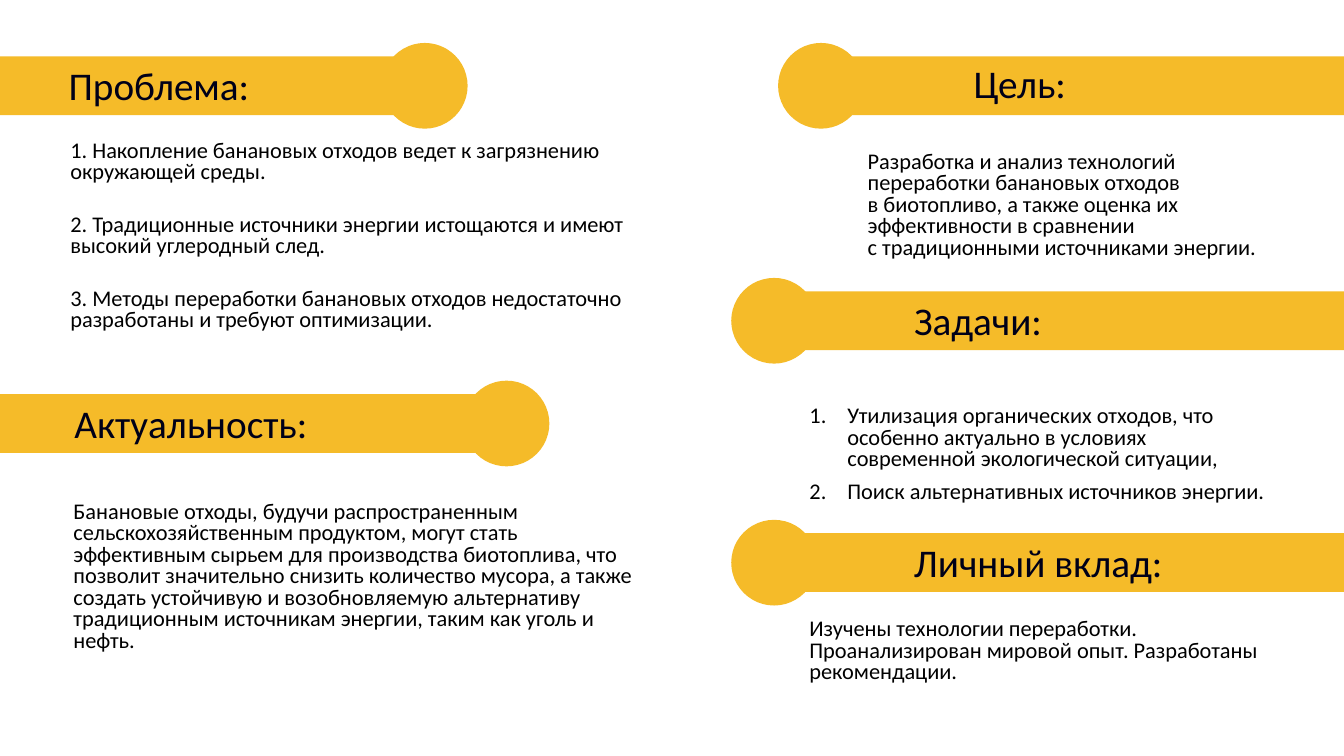
from dataclasses import dataclass

from lxml.etree import SubElement
from pptx import Presentation
from pptx.dml.color import RGBColor
from pptx.enum.shapes import MSO_SHAPE
from pptx.enum.text import MSO_ANCHOR, MSO_AUTO_SIZE, PP_ALIGN
from pptx.oxml.ns import qn
from pptx.util import Pt


@dataclass(frozen=True)
class Theme:
    font: str = "Calibri"
    banner: RGBColor = RGBColor(0xF5, 0xBB, 0x29)
    heading: RGBColor = RGBColor(0x00, 0x00, 0x18)
    body: RGBColor = RGBColor(0x00, 0x00, 0x00)
    heading_size: int = 28
    body_size: int = 16


THEME = Theme()
SLIDE_WIDTH, SLIDE_HEIGHT = 960, 540
BAR_HEIGHT, KNOB_SIZE = 42, 61.2
KNOB_SHIFT = 4  # knob centre lies this far left of the bar's inner end
PROBLEM_TOP, PROBLEM_STEP = 97.2, 52.8

# Banners: side, inner end of the bar, top
BANNERS = [
    ("left", 307.4, 40.3),
    ("left", 365.8, 281.5),
    ("right", 590.4, 40.3),
    ("right", 556.9, 208.1),
    ("right", 556.9, 380.9),
]

# Headings: text, left, top, width
TITLE = ("Проблема:", 41.8, 40.3, 195.8)
HEADINGS = [
    ("Актуальность:", 46.1, 281.5, 242.6),
    ("Цель:", 688.3, 38.9, 121.7),
    ("Задачи:", 645.8, 208.1, 152.6),
    ("Личный вклад:", 645.8, 380.9, 257),
]

PROBLEMS = [
    "1. Накопление банановых отходов ведет к загрязнению окружающей среды.",
    "2. Традиционные источники энергии истощаются и имеют высокий углеродный след.",
    "3. Методы переработки банановых отходов недостаточно разработаны "
    "и требуют оптимизации.",
]

# Body texts: text, left, top, width, height
BODY_TEXTS = [
    ("Банановые отходы, будучи распространенным сельскохозяйственным продуктом, "
     "могут стать эффективным сырьем для производства биотоплива, что позволит "
     "значительно снизить количество мусора, а также создать устойчивую "
     "и возобновляемую альтернативу традиционным источникам энергии, "
     "таким как уголь и нефть.", 45.4, 347, 427, 131),
    ("Разработка и анализ технологий переработки банановых отходов \v"
     "в биотопливо, а также оценка их эффективности в сравнении \v"
     "с традиционными источниками энергии.", 612.7, 97.2, 323.3, 100),
    ("Изучены технологии переработки. Проанализирован мировой опыт. "
     "Разработаны рекомендации.", 571, 438.5, 339.8, 54),
]

TASKS = [
    "Утилизация органических отходов, что особенно актуально в условиях "
    "современной экологической ситуации,",
    "Поиск альтернативных источников энергии.",
]


def set_attributes(target, values):
    for name, value in values.items():
        setattr(target, name, value)


def place(shape, left, top, width, height):
    names = ("left", "top", "width", "height")
    set_attributes(shape, dict(zip(names, map(Pt, (left, top, width, height)))))


def write_text(shape, texts, size, color, anchor, line_spacing=1.0, space_after=0):
    """Fill the shape with one formatted paragraph per text."""
    frame = shape.text_frame
    set_attributes(frame, {
        "word_wrap": True,
        "auto_size": MSO_AUTO_SIZE.SHAPE_TO_FIT_TEXT,
        "vertical_anchor": anchor,
    })
    for index, text in enumerate(texts):
        paragraph = frame.add_paragraph() if index else frame.paragraphs[0]
        paragraph.text = text
        set_attributes(paragraph, {
            "alignment": PP_ALIGN.LEFT,
            "line_spacing": line_spacing,
            "space_before": Pt(0),
            "space_after": Pt(space_after),
        })
        for run in paragraph.runs:
            set_attributes(run.font, {"name": THEME.font, "size": Pt(size)})
            run.font.color.rgb = color


def write_heading(shape, text):
    write_text(shape, [text], THEME.heading_size, THEME.heading, MSO_ANCHOR.TOP)


def write_body(shape, texts, anchor=MSO_ANCHOR.MIDDLE):
    write_text(shape, texts, THEME.body_size, THEME.body, anchor, 0.8, 8)


def add_box(slide, left, top, width, height):
    return slide.shapes.add_textbox(Pt(left), Pt(top), Pt(width), Pt(height))


def add_banner(slide, side, inner_end, top):
    """Group a bar running off the slide edge with a round knob."""
    if side == "left":
        bar_left, bar_width = 0, inner_end
    else:
        bar_left, bar_width = inner_end, SLIDE_WIDTH - inner_end
    knob_left = inner_end - KNOB_SHIFT - KNOB_SIZE / 2
    knob_top = top + (BAR_HEIGHT - KNOB_SIZE) / 2
    group = slide.shapes.add_group_shape()
    for kind, *box in (
        (MSO_SHAPE.RECTANGLE, bar_left, top, bar_width, BAR_HEIGHT),
        (MSO_SHAPE.OVAL, knob_left, knob_top, KNOB_SIZE, KNOB_SIZE),
    ):
        shape = group.shapes.add_shape(kind, *map(Pt, box))
        shape.shadow.inherit = False
        shape.fill.solid()
        shape.fill.fore_color.rgb = THEME.banner
        shape.line.fill.background()


def number_paragraphs(shape, indent):
    for paragraph in shape.text_frame.paragraphs:
        properties = paragraph._p.get_or_add_pPr()
        properties.set("marL", str(Pt(indent)))
        properties.set("indent", str(-Pt(indent)))
        SubElement(properties, qn("a:buFont"), typeface="+mj-lt")
        SubElement(properties, qn("a:buAutoNum"), type="arabicPeriod")


def main():
    presentation = Presentation()
    presentation.slide_width = Pt(SLIDE_WIDTH)
    presentation.slide_height = Pt(SLIDE_HEIGHT)
    slide = presentation.slides.add_slide(presentation.slide_layouts[1])
    title, tasks = slide.placeholders[0], slide.placeholders[1]

    # Banners
    for banner in BANNERS:
        add_banner(slide, *banner)

    # Headings, with the title raised above its banner
    text, left, top, width = TITLE
    place(title, left, top, width, 41)
    write_heading(title, text)
    slide.shapes._spTree.append(title.element)
    for text, left, top, width in HEADINGS:
        write_heading(add_box(slide, left, top, width, 41), text)

    # Problems at equal steps
    for index, problem in enumerate(PROBLEMS):
        box = add_box(slide, 43.2, PROBLEM_TOP + index * PROBLEM_STEP, 437, 38)
        write_body(box, [problem], MSO_ANCHOR.TOP)

    # Body texts
    for text, *position in BODY_TEXTS:
        write_body(add_box(slide, *position), [text])

    # Numbered tasks
    place(tasks, 571, 270.7, 347, 108.7)
    write_body(tasks, TASKS)
    number_paragraphs(tasks, 27)

    presentation.save("out.pptx")


if __name__ == "__main__":
    main()
